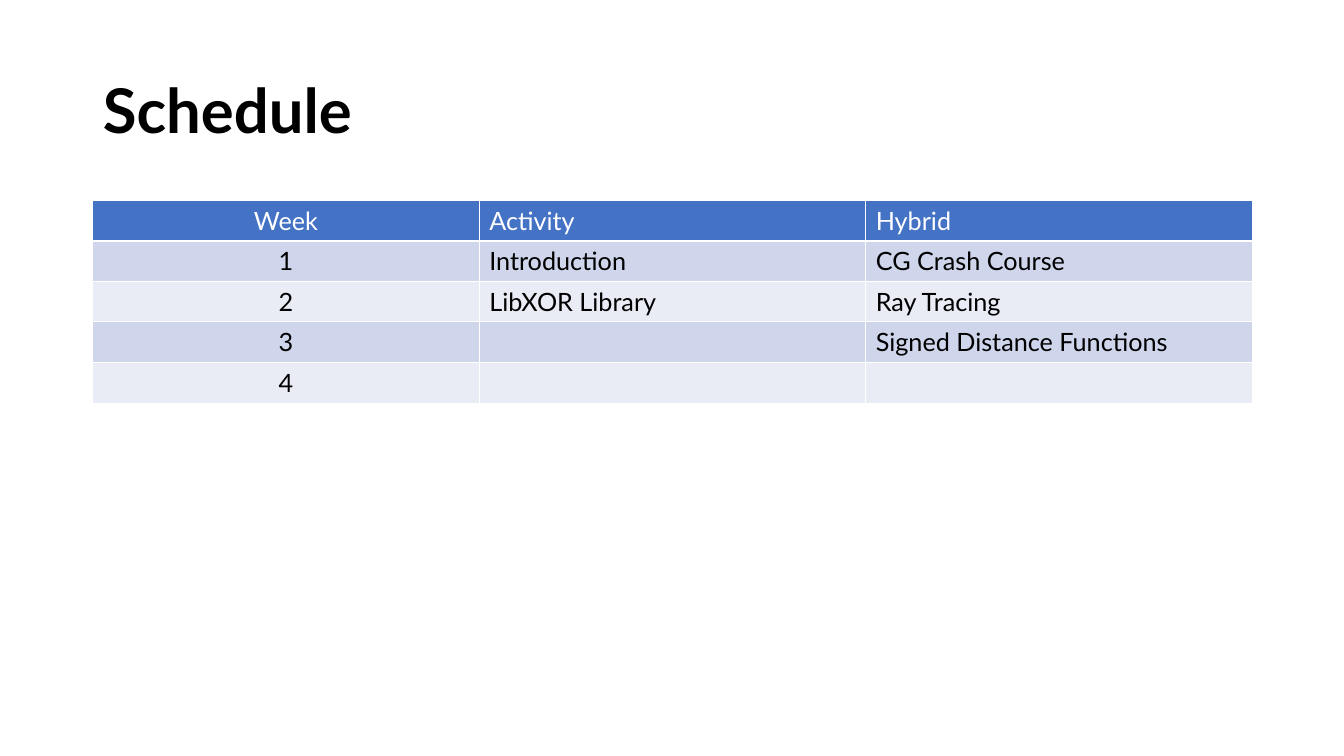
"""Build the course schedule slide."""
from dataclasses import dataclass

from lxml.etree import SubElement
from pptx import Presentation
from pptx.dml.color import RGBColor
from pptx.enum.text import MSO_ANCHOR, MSO_AUTO_SIZE, PP_ALIGN
from pptx.oxml.ns import qn
from pptx.slide import Slide
from pptx.table import _Cell
from pptx.text.text import _Paragraph
from pptx.util import Inches, Pt


@dataclass(frozen=True)
class Theme:
    font: str = "Lato"
    title_size: int = 44
    table_size: int = 18
    ink: str = "000000"
    paper: str = "FFFFFF"
    header: str = "4472C4"
    bands: tuple[str, str] = ("CFD5EA", "E9EBF5")


@dataclass(frozen=True)
class Grid:
    left: float = 0.92
    width: float = 11.5
    title_top: float = 0.4
    title_height: float = 1.45
    table_top: float = 1.99
    row_height: float = 0.4


@dataclass(frozen=True)
class Week:
    number: str
    activity: str = ""
    hybrid: str = ""

    def texts(self) -> tuple[str, str, str]:
        return self.number, self.activity, self.hybrid


THEME = Theme()
GRID = Grid()
HEADINGS = Week("Week", "Activity", "Hybrid")
WEEKS = (
    Week("1", "Introduction", "CG Crash Course"),
    Week("2", "LibXOR Library", "Ray Tracing"),
    Week("3", hybrid="Signed Distance Functions"),
    Week("4"),
)


def add_span(para: _Paragraph, text: str, size: int, color: str, bold: bool) -> None:
    span = para.add_run()
    span.text = text
    span.font.name = THEME.font
    span.font.size = Pt(size)
    span.font.bold = bold
    span.font.color.rgb = RGBColor.from_string(color)


def add_title(page: Slide, text: str) -> None:
    title = page.shapes.title
    title.left, title.top = Inches(GRID.left), Inches(GRID.title_top)
    title.width, title.height = Inches(GRID.width), Inches(GRID.title_height)
    frame = title.text_frame
    frame.auto_size = MSO_AUTO_SIZE.NONE
    frame.vertical_anchor = MSO_ANCHOR.MIDDLE
    para = frame.paragraphs[0]
    para.alignment = PP_ALIGN.LEFT
    para.line_spacing = 0.9
    add_span(para, text, THEME.title_size, THEME.ink, bold=True)


def add_borders(cell: _Cell) -> None:
    properties = cell._tc.get_or_add_tcPr()
    for side in ("lnL", "lnR", "lnT", "lnB"):
        line = SubElement(properties, qn(f"a:{side}"), w=str(Pt(1)))
        fill = SubElement(line, qn("a:solidFill"))
        SubElement(fill, qn("a:srgbClr"), val=THEME.paper)


def fill_cell(cell: _Cell, text: str, fill: str, ink: str, align: PP_ALIGN) -> None:
    add_borders(cell)
    cell.fill.solid()
    cell.fill.fore_color.rgb = RGBColor.from_string(fill)
    para = cell.text_frame.paragraphs[0]
    para.alignment = align
    para.font.size = Pt(THEME.table_size)
    if text:
        add_span(para, text, THEME.table_size, ink, bold=False)


def add_schedule(page: Slide, weeks: tuple[Week, ...]) -> None:
    lines = (HEADINGS, *weeks)
    table = page.shapes.add_table(
        len(lines), len(HEADINGS.texts()),
        Inches(GRID.left), Inches(GRID.table_top),
        Inches(GRID.width), Inches(GRID.row_height * len(lines)),
    ).table
    for row, line in enumerate(lines):
        fill = THEME.bands[(row - 1) % 2] if row else THEME.header
        ink = THEME.ink if row else THEME.paper
        for column, text in enumerate(line.texts()):
            align = PP_ALIGN.LEFT if column else PP_ALIGN.CENTER
            fill_cell(table.cell(row, column), text, fill, ink, align)


def main() -> None:
    deck = Presentation()
    deck.slide_width, deck.slide_height = Inches(13.33), Inches(7.5)
    page = deck.slides.add_slide(deck.slide_layouts.get_by_name("Title Only"))
    add_title(page, "Schedule")
    add_schedule(page, WEEKS)
    deck.save("out.pptx")


if __name__ == "__main__":
    main()
